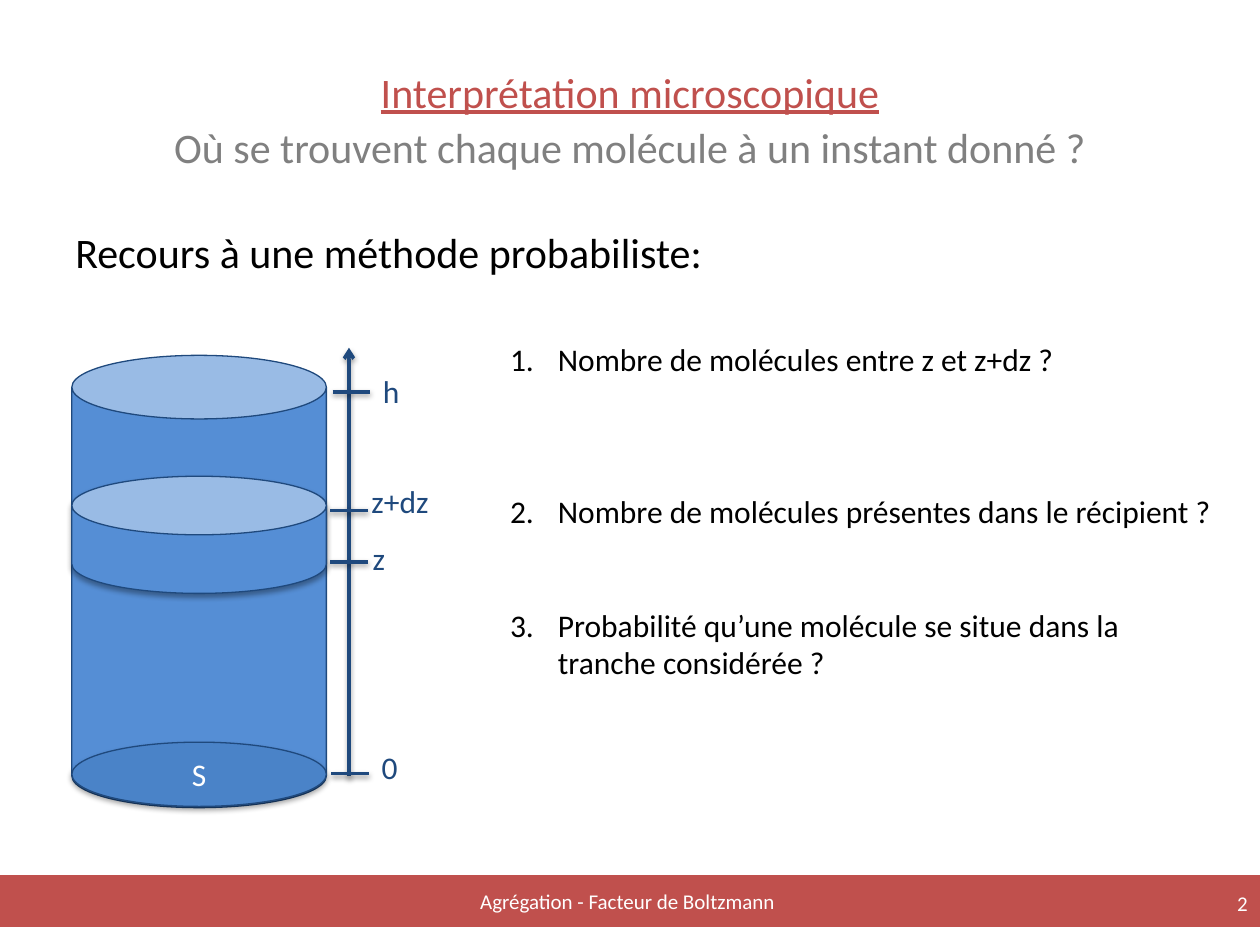
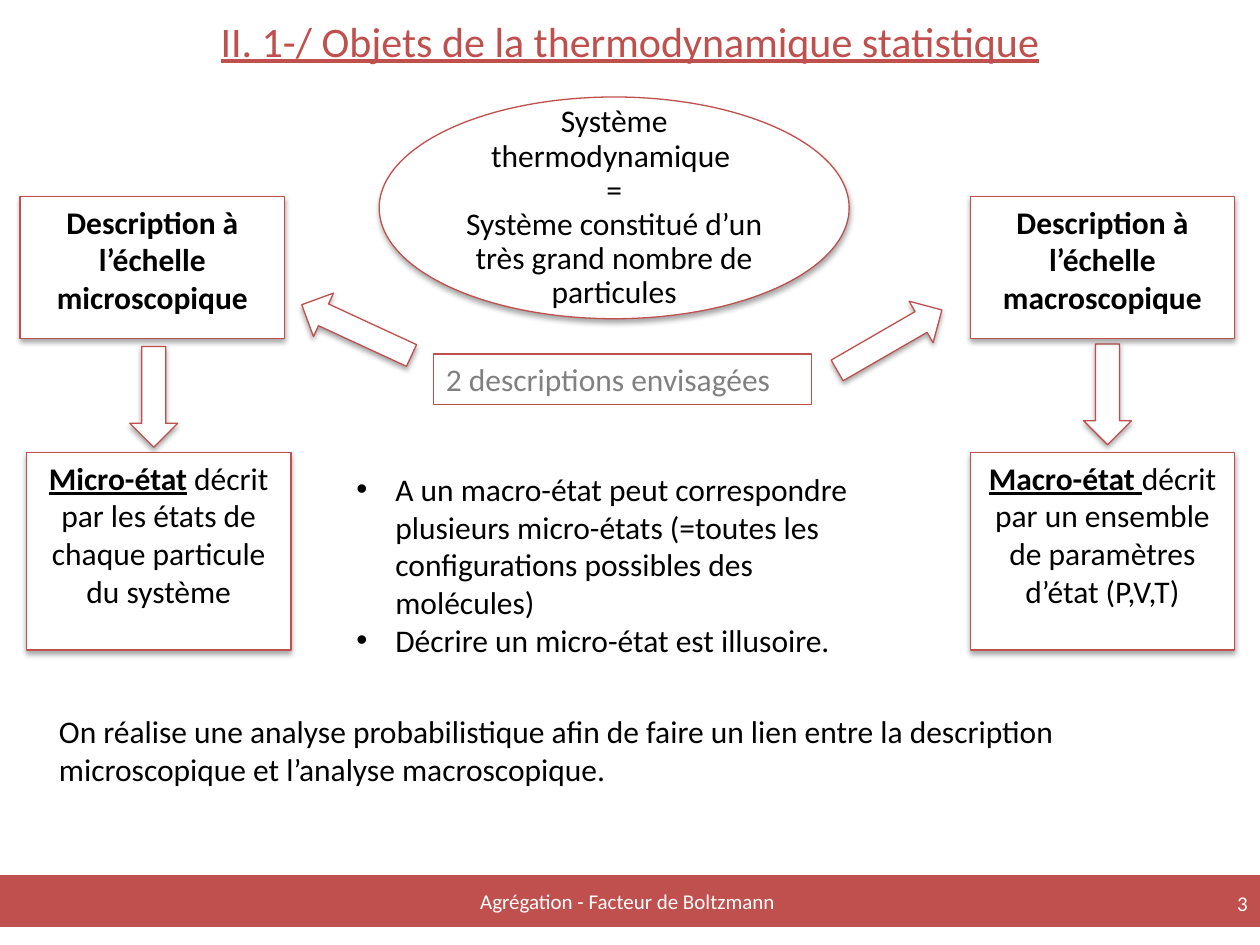
from lxml.etree import SubElement
from pptx import Presentation
from pptx.dml.color import RGBColor
from pptx.enum.shapes import MSO_CONNECTOR, MSO_SHAPE
from pptx.enum.text import MSO_ANCHOR, PP_ALIGN
from pptx.oxml.ns import qn
from pptx.util import Inches, Pt

RED, NAVY, BLUE, DEEP_BLUE = "C0504D", "1F497D", "558ED5", "4A83C8"
GREY, BLACK, WHITE = "808080", "000000", "FFFFFF"
rgb = RGBColor.from_string


def dress(target, line, width=0.75, fill=None, shadow=0, distance=1.8):
    target.line.color.rgb = rgb(line)
    target.line.width = Pt(width)
    if fill:
        target.fill.solid()
        target.fill.fore_color.rgb = rgb(fill)
    elif hasattr(target, "fill"):
        target.fill.background()
    effects = SubElement(target._element.spPr, qn("a:effectLst"))
    if shadow:
        outer = SubElement(effects, qn("a:outerShdw"), blurRad=str(Pt(3.1)),
                           dist=str(Pt(distance)), dir="5400000", rotWithShape="0")
        tint = SubElement(outer, qn("a:srgbClr"), val=BLACK)
        SubElement(tint, qn("a:alpha"), val=str(shadow * 1000))


def write(target, *paragraphs, size=18, color=BLACK, bold=False, underline=False,
          align=PP_ALIGN.LEFT, anchor=MSO_ANCHOR.TOP, spacing=None,
          indent=0, bullet=None, gaps=()):
    frame = target.text_frame
    frame.word_wrap = True
    frame.vertical_anchor = anchor
    for index, runs in enumerate(paragraphs):
        paragraph = frame.add_paragraph() if index else frame.paragraphs[0]
        paragraph.alignment = align
        if spacing:
            paragraph.line_spacing = spacing
        if index and gaps:
            paragraph.space_before = Pt(gaps[index - 1])
        if bullet:
            properties = paragraph._p.get_or_add_pPr()
            properties.set("marL", str(Inches(indent)))
            properties.set("indent", str(-Inches(indent)))
            if bullet == "1.":
                SubElement(properties, qn("a:buAutoNum"), type="arabicPeriod")
            else:
                SubElement(properties, qn("a:buFont"), typeface="Arial")
                SubElement(properties, qn("a:buChar"), char=bullet)
        for words, changes in [(runs, {})] if isinstance(runs, str) else runs:
            run = paragraph.add_run()
            run.text = words
            run.font.name = "Calibri"
            run.font.size = Pt(size)
            run.font.color.rgb = rgb(changes.get("color", color))
            run.font.bold = changes.get("bold", bold)
            run.font.underline = changes.get("underline", underline)


deck = Presentation()
deck.slide_width, deck.slide_height = Inches(10), Inches(7.5)
TITLE = dict(size=24, color=RED, underline=True, align=PP_ALIGN.CENTER)
FOOTER = dict(size=12, color=WHITE, anchor=MSO_ANCHOR.MIDDLE)
titles = [
    (0.3, 1.25, MSO_ANCHOR.MIDDLE, 1.1, [
        "Interprétation microscopique",
        [("Où se trouvent chaque molécule à un instant donné ?",
          {"color": GREY, "underline": False})]]),
    (0.07, 0.72, MSO_ANCHOR.TOP, None,
     ["II. 1-/ Objets de la thermodynamique statistique"]),
]
for number, (top, height, anchor, spacing, lines) in enumerate(titles, 2):
    slide = deck.slides.add_slide(deck.slide_layouts[6])
    title = slide.shapes.add_textbox(Inches(0.5), Inches(top), Inches(9), Inches(height))
    write(title, *lines, anchor=anchor, spacing=spacing, **TITLE)
    band = slide.shapes.add_shape(MSO_SHAPE.RECTANGLE, 0, Inches(6.95), Inches(10), Inches(0.4))
    dress(band, RED, fill=RED)
    write(band, "Agrégation - Facteur de Boltzmann ", align=PP_ALIGN.CENTER, **FOOTER)
    page = slide.shapes.add_textbox(Inches(9.72), Inches(6.97), Inches(0.28), Inches(0.4))
    write(page, str(number), align=PP_ALIGN.RIGHT, **FOOTER)

probability, thermodynamics = [slide.shapes for slide in deck.slides]

method = probability.add_textbox(Inches(0.5), Inches(1.75), Inches(9), Inches(0.6))
write(method, "Recours à une méthode probabiliste:", size=24)

for kind, top, height, fill, shadow, label in [
    (MSO_SHAPE.CAN, 2.82, 3.59, BLUE, 0, ""),
    (MSO_SHAPE.CAN, 3.78, 0.93, BLUE, 35, ""),
    (MSO_SHAPE.OVAL, 5.89, 0.51, DEEP_BLUE, 35, "S"),
]:
    vessel = probability.add_shape(kind, Inches(0.57), Inches(top), Inches(2.02), Inches(height))
    if height == 0.93:
        vessel.adjustments[0] = 0.5
    dress(vessel, NAVY, fill=fill, shadow=shadow)
    if label:
        write(vessel, label, color=WHITE, align=PP_ALIGN.CENTER, anchor=MSO_ANCHOR.MIDDLE)

axis = probability.add_connector(MSO_CONNECTOR.STRAIGHT, Inches(2.77), Inches(6.16),
                                 Inches(2.77), Inches(2.76))
dress(axis, NAVY, width=2, shadow=38, distance=1.6)
SubElement(axis.line._get_or_add_ln(), qn("a:tailEnd"), type="arrow")

for height_name, tick_left, tick_top, left, top in [
    ("h", 2.64, 3.11, 2.94, 2.9),
    ("z+dz", 2.62, 4.05, 2.85, 3.78),
    ("z", 2.62, 4.46, 2.86, 4.23),
    ("0", 2.63, 6.14, 2.93, 5.89),
]:
    tick = probability.add_connector(MSO_CONNECTOR.STRAIGHT, Inches(tick_left), Inches(tick_top),
                                     Inches(tick_left + 0.3), Inches(tick_top))
    dress(tick, NAVY, width=2, shadow=38, distance=1.6)
    mark = probability.add_textbox(Inches(left), Inches(top), Inches(0.67), Inches(0.4))
    write(mark, height_name, color=NAVY)

questions = probability.add_textbox(Inches(3.95), Inches(2.65), Inches(5.77), Inches(2.83))
write(questions,
      "Nombre de molécules entre z et z+dz ?",
      "Nombre de molécules présentes dans le récipient ?",
      "Probabilité qu’une molécule se situe dans la tranche considérée ?",
      indent=0.38, bullet="1.", gaps=(65, 43.5))

system = thermodynamics.add_shape(MSO_SHAPE.OVAL, Inches(3.01), Inches(0.77),
                                  Inches(3.73), Inches(1.76))
dress(system, RED, fill=WHITE, shadow=35)
write(system, "Système thermodynamique ", "=",
      "Système constitué d’un très grand nombre de particules",
      align=PP_ALIGN.CENTER, anchor=MSO_ANCHOR.MIDDLE, spacing=0.9)

choice = thermodynamics.add_shape(MSO_SHAPE.RECTANGLE, Inches(3.44), Inches(2.81),
                                  Inches(3), Inches(0.4))
dress(choice, RED)
write(choice, "2 descriptions envisagées", color=GREY, align=PP_ALIGN.JUSTIFY)

for left, top, width, angle in [
    (6.58, 2.51, 0.96, 330),
    (2.35, 2.43, 0.96, 204.8),
    (0.82, 2.96, 0.8, 90),
    (8.39, 2.94, 0.8, 90),
]:
    arrow = thermodynamics.add_shape(MSO_SHAPE.RIGHT_ARROW, Inches(left), Inches(top),
                                     Inches(width), Inches(0.38))
    arrow.rotation = angle
    dress(arrow, RED, fill=WHITE, shadow=35)

STRONG = {"bold": True, "underline": True}
for left, top, height, words in [
    (7.7, 1.56, 1.13, [("Description à l’échelle macroscopique", {"bold": True})]),
    (0.16, 1.56, 1.13, [("Description à l’échelle microscopique", {"bold": True})]),
    (7.7, 3.59, 1.57, [("Macro-état ", STRONG),
                       ("décrit par un ensemble de paramètres d’état (P,V,T)", {})]),
    (0.21, 3.59, 1.57, [("Micro-état", STRONG),
                        (" décrit par les états de chaque particule du système", {})]),
]:
    description = thermodynamics.add_shape(MSO_SHAPE.RECTANGLE, Inches(left), Inches(top),
                                           Inches(2.1), Inches(height))
    dress(description, RED, fill=WHITE, shadow=35)
    write(description, words, align=PP_ALIGN.CENTER)

remarks = thermodynamics.add_textbox(Inches(2.73), Inches(3.68), Inches(4.5), Inches(1.92))
write(remarks,
      "A un macro-état peut correspondre plusieurs micro-états "
      "(=toutes les configurations possibles des molécules)",
      "Décrire un micro-état est illusoire.", indent=0.31, bullet="•")

conclusion = thermodynamics.add_textbox(Inches(0.37), Inches(5.6), Inches(9.44), Inches(0.71))
write(conclusion, "On réalise une analyse probabilistique afin de faire un lien entre "
                  "la description microscopique et l’analyse macroscopique.")

deck.save("out.pptx")
